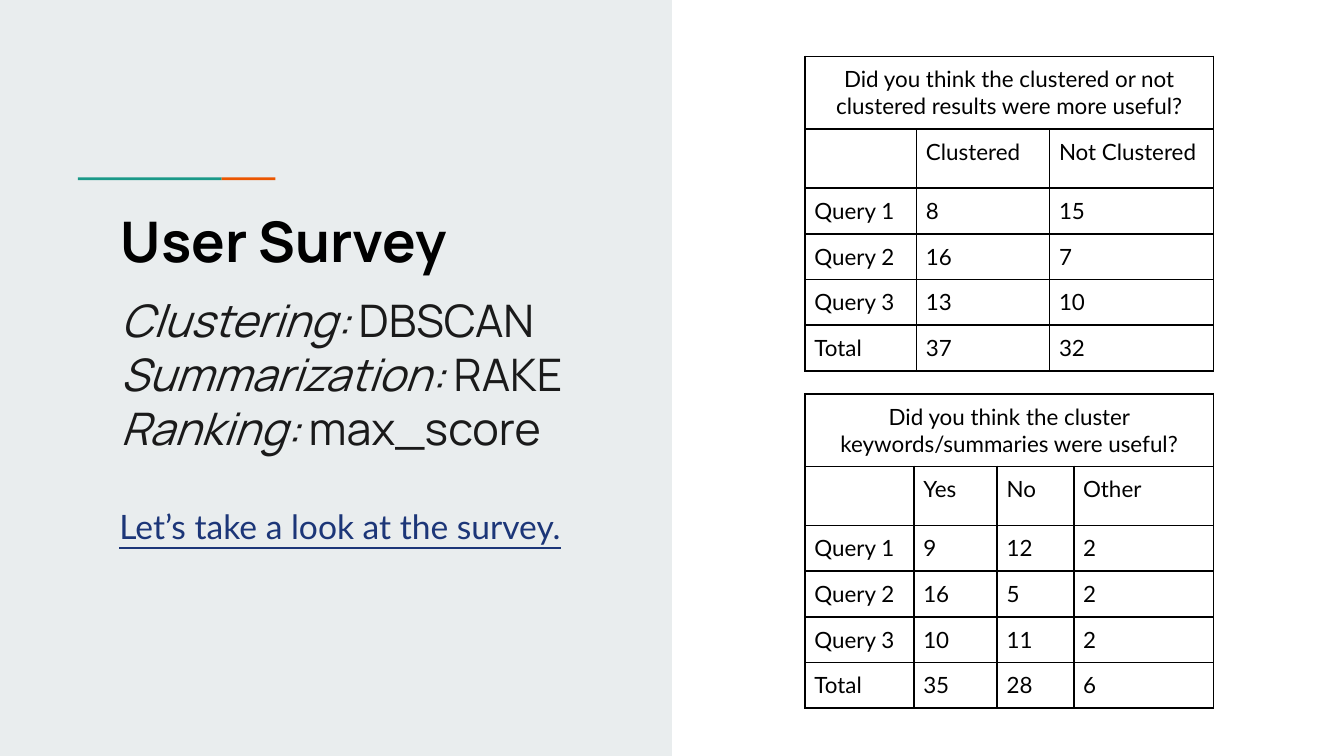
from dataclasses import dataclass

from lxml import etree
from pptx import Presentation
from pptx.dml.color import RGBColor
from pptx.enum.shapes import MSO_SHAPE
from pptx.enum.text import PP_ALIGN
from pptx.oxml.ns import qn
from pptx.util import Inches, Pt

RECTANGLE = MSO_SHAPE.RECTANGLE
LEFT, CENTER = PP_ALIGN.LEFT, PP_ALIGN.CENTER
PAGE_WIDTH = 10
PAGE_HEIGHT = PAGE_WIDTH * 9 / 16
COLORS = {"panel": "E9EDEE", "orange": "EB5600", "teal": "1A9988",
          "black": "000000", "body": "1A1A1A", "link": "1C3678"}
ROW_HEIGHTS = [0.54, 0.42] + [0.34] * 4


@dataclass
class Block:
    left: float
    top: float
    width: float
    height: float
    color: str


@dataclass
class Survey:
    top: float
    question: str
    widths: list[float]
    rows: list[list[str]]


BLOCKS = [
    Block(0, 0, PAGE_WIDTH / 2, PAGE_HEIGHT, "panel"),
    Block(0.58, 1.32, 1.07, 0.02, "teal"),
    Block(1.65, 1.32, 0.4, 0.02, "orange"),
]
METHODS = [
    [("Clustering:", " DBSCAN"), ("Summarization:", " RAKE")],
    [("Ranking:", " max_score")],
]
SURVEYS = [
    Survey(0.42, "Did you think the clustered or not clustered results were more useful?",
           [0.83, 0.99, 1.22],
           [["", "Clustered", "Not Clustered"], ["Query 1", "8", "15"],
            ["Query 2", "16", "7"], ["Query 3", "13", "10"], ["Total", "37", "32"]]),
    Survey(2.93, "Did you think the cluster keywords/summaries were useful?",
           [0.81, 0.62, 0.57, 1.04],
           [["", "Yes", "No", "Other"], ["Query 1", "9", "12", "2"],
            ["Query 2", "16", "5", "2"], ["Query 3", "10", "11", "2"],
            ["Total", "35", "28", "6"]]),
]


def add_text(para, text: str, *, size: float, face: str = "Lato", color: str = "black",
             bold: bool = False, italic: bool = False, underline: bool = False) -> None:
    span = para.add_run()
    span.text = text
    font = span.font
    font.size, font.name = Pt(size), face
    font.bold, font.italic, font.underline = bold, italic, underline
    font.color.rgb = RGBColor.from_string(COLORS[color])


def add_block(page, block: Block) -> None:
    shape = page.shapes.add_shape(RECTANGLE, Inches(block.left), Inches(block.top),
                                  Inches(block.width), Inches(block.height))
    shape.shadow.inherit = False
    shape.fill.solid()
    shape.fill.fore_color.rgb = RGBColor.from_string(COLORS[block.color])
    shape.line.fill.background()


def add_frame(page, left: float, top: float, width: float, height: float):
    box = page.shapes.add_textbox(Inches(left), Inches(top), Inches(width), Inches(height))
    frame = box.text_frame
    frame.word_wrap = True
    frame.margin_left = frame.margin_right = Inches(0.1)
    frame.margin_top = frame.margin_bottom = Inches(0.1)
    return frame


def add_borders(cell) -> None:
    properties = cell._tc.get_or_add_tcPr()
    for index, side in enumerate(("lnL", "lnR", "lnT", "lnB")):
        line = etree.Element(qn(f"a:{side}"), w=str(Pt(1)))
        fill = etree.SubElement(line, qn("a:solidFill"))
        etree.SubElement(fill, qn("a:srgbClr"), val=COLORS["black"])
        properties.insert(index, line)


def fill_cell(cell, text: str, align) -> None:
    cell.margin_left = cell.margin_right = Inches(0.07)
    cell.margin_top = cell.margin_bottom = Inches(0.07)
    cell.fill.background()
    add_borders(cell)
    if not cell.is_spanned:
        para = cell.text_frame.paragraphs[0]
        para.alignment = align
        add_text(para, text, size=12)


def add_survey(page, survey: Survey) -> None:
    columns = len(survey.widths)
    table = page.shapes.add_table(len(ROW_HEIGHTS), columns, Inches(5.99), Inches(survey.top),
                                  Inches(sum(survey.widths)), Inches(sum(ROW_HEIGHTS))).table
    table.first_row = table.horz_banding = False
    for column, width in zip(table.columns, survey.widths):
        column.width = Inches(width)
    for row, height in zip(table.rows, ROW_HEIGHTS):
        row.height = Inches(height)
    table.cell(0, 0).merge(table.cell(0, columns - 1))
    heading = [survey.question] + [""] * (columns - 1)
    for row_index, row in enumerate([heading] + survey.rows):
        for column_index, text in enumerate(row):
            fill_cell(table.cell(row_index, column_index), text, LEFT if row_index else CENTER)


def add_title(page) -> None:
    frame = add_frame(page, 0.8, 1.44, 4.02, 1.85)
    add_text(frame.paragraphs[0], "User Survey", size=30, face="Manrope", bold=True)
    for group_index, group in enumerate(METHODS):
        para = frame.add_paragraph()
        para.space_before = Pt(0 if group_index else 10)
        for index, (label, value) in enumerate(group):
            if index:
                para.add_line_break()
            add_text(para, label, size=24, face="Manrope", color="body", italic=True)
            add_text(para, value, size=24, face="Manrope", color="body")


def add_invitation(page) -> None:
    para = add_frame(page, 0.79, 3.62, 3.61, 0.83).paragraphs[0]
    para.line_spacing = 1.15
    add_text(para, "Let’s take a look at the survey.", size=18, color="link", underline=True)


def main() -> None:
    """Build the user survey slide and save the deck."""
    deck = Presentation()
    deck.slide_width, deck.slide_height = Inches(PAGE_WIDTH), Inches(PAGE_HEIGHT)
    page = deck.slides.add_slide(deck.slide_layouts[6])
    for block in BLOCKS:
        add_block(page, block)
    add_title(page)
    add_invitation(page)
    for survey in SURVEYS:
        add_survey(page, survey)
    deck.save("out.pptx")


if __name__ == "__main__":
    main()
